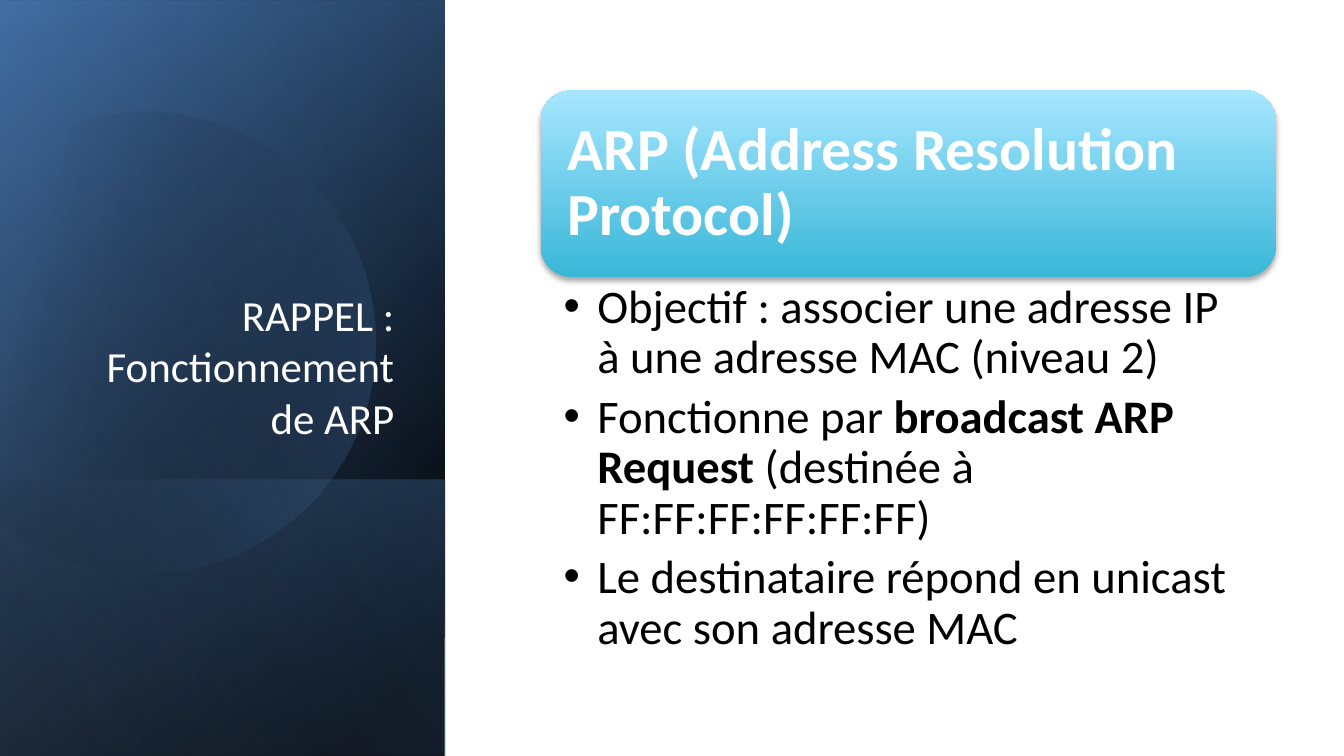
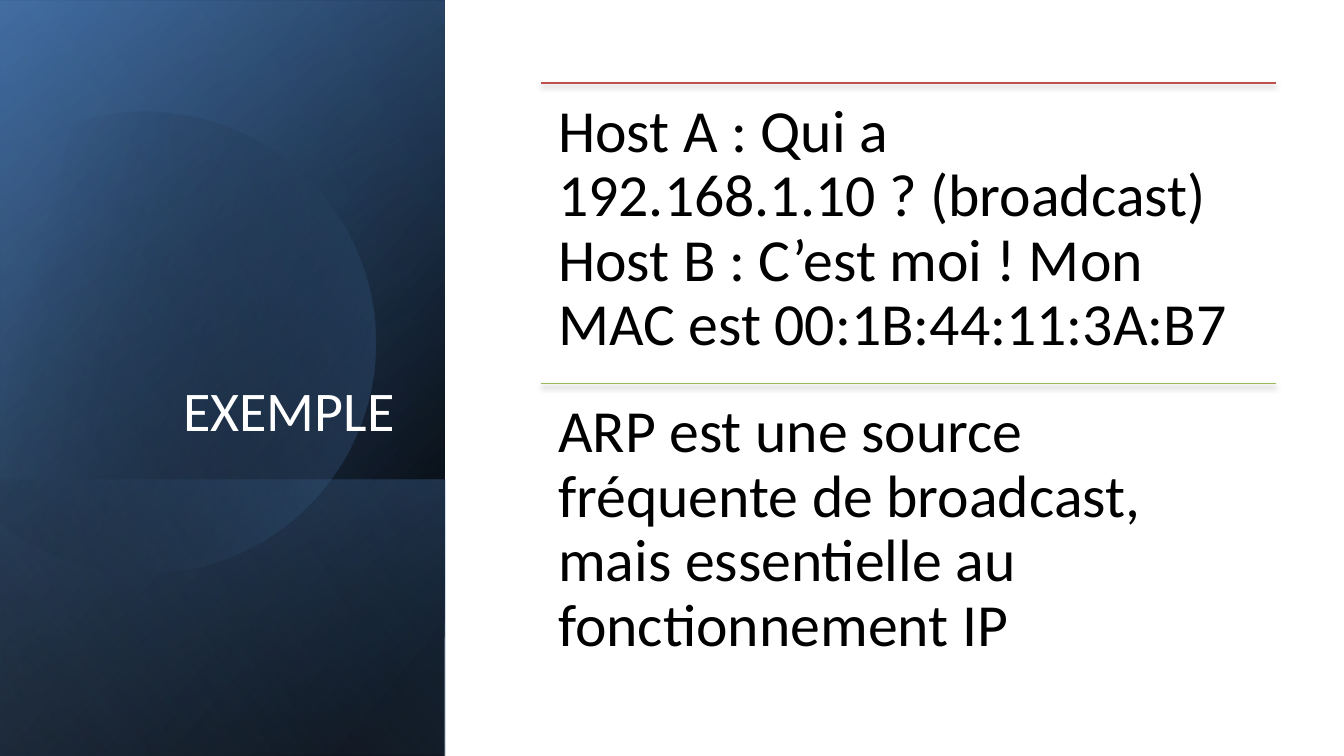
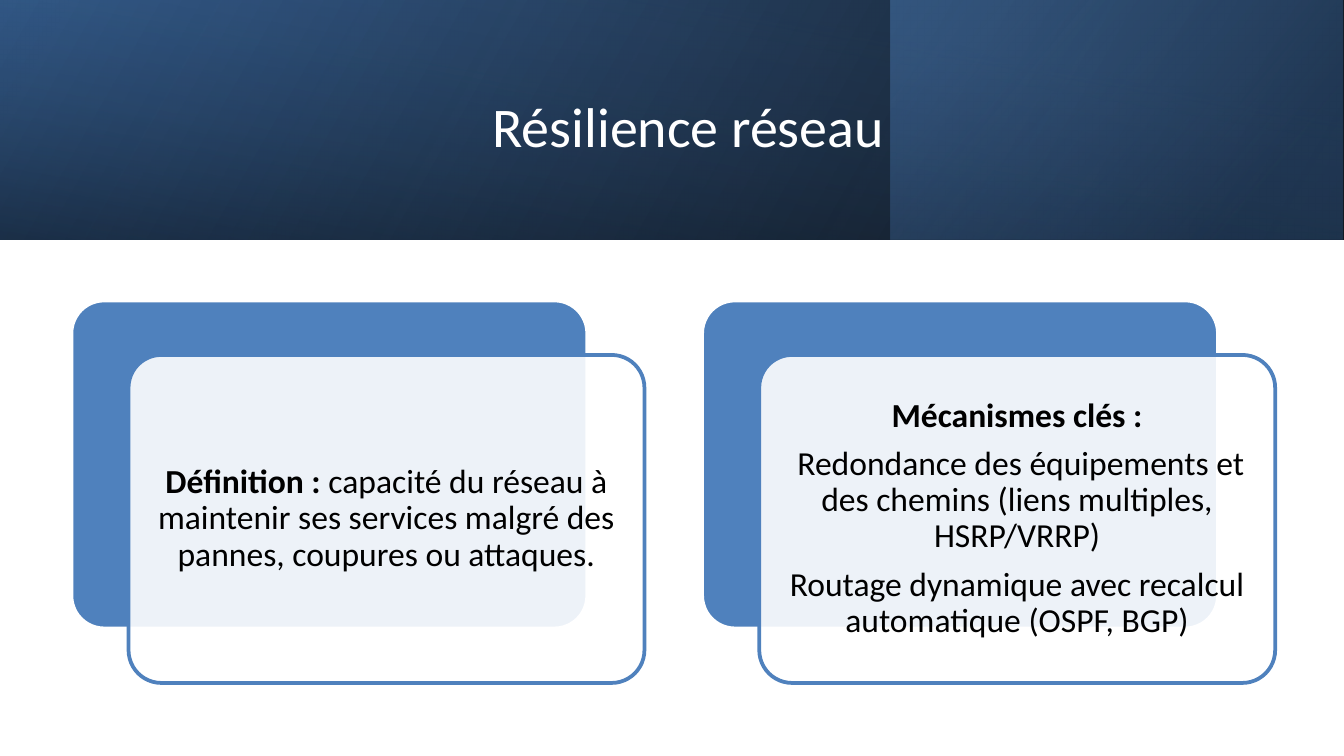
import math

import lxml.etree
import pptx
import pptx.dml.color
import pptx.enum.shapes
import pptx.enum.text
import pptx.oxml.ns
import pptx.util

Cm = pptx.util.Cm
Pt = pptx.util.Pt
qn = pptx.oxml.ns.qn
ALIGN = pptx.enum.text.PP_ALIGN
ANCHOR = pptx.enum.text.MSO_ANCHOR
SHAPE = pptx.enum.shapes.MSO_SHAPE

hex_colors = {
    "black": "000000",
    "white": "FFFFFF",
    "blue": "4F81BD",
    "deep_blue": "376092",
    "navy": "254061",
    "pale_blue": "95B3D7",
    "cyan": "39B7D8",
    "light_cyan": "A7E6FF",
    "red": "C0504D",
    "green": "9BBB59",
}
colors = {name: pptx.dml.color.RGBColor.from_string(value) for name, value in hex_colors.items()}


def paint_gradient(shape, stops, angle):
    shape.shadow.inherit = False
    shape.line.fill.background()
    shape.fill.gradient()
    shape.fill.gradient_angle = 360 - angle
    for stop, (position, color, opacity) in zip(shape.fill.gradient_stops, stops):
        stop.position = position / 100
        stop.color.rgb = colors[color]
    for element, (position, color, opacity) in zip(shape._element.xpath(".//a:gs/a:srgbClr"), stops):
        if opacity < 100:
            lxml.etree.SubElement(element, qn("a:alpha")).set("val", str(opacity * 1000))


def write_text(shape, paragraphs, size, color, margins, anchor, paragraph_format):
    text_frame = shape.text_frame
    frame_format = {
        "word_wrap": True,
        "auto_size": pptx.enum.text.MSO_AUTO_SIZE.NONE,
        "vertical_anchor": anchor,
    }
    for side, margin in zip(("left", "top", "right", "bottom"), margins):
        frame_format["margin_" + side] = Cm(margin)
    for name, value in frame_format.items():
        setattr(text_frame, name, value)
    for index, runs in enumerate(paragraphs):
        paragraph = text_frame.add_paragraph() if index else text_frame.paragraphs[0]
        for name, value in paragraph_format.items():
            setattr(paragraph, name, value)
        for text, bold in runs:
            if text == "\n":
                paragraph.add_line_break()
                continue
            run = paragraph.add_run()
            run.text = text
            for name, value in {"name": "Calibri", "size": Pt(size), "bold": bold}.items():
                setattr(run.font, name, value)
            run.font.color.rgb = colors[color]


presentation = pptx.Presentation()
presentation.slide_width = Cm(25.4)
presentation.slide_height = Cm(14.29)

panel_box = (-2.94, 2.95, 14.29, 8.4)
side_panel = [
    (panel_box, 90, [(8, "black", 100), (100, "deep_blue", 100)], 50),
    (panel_box, 90, [(0, "black", 0), (99, "blue", 46)], 30),
    ((1.61, 7.48, 5.21, 8.4), 90, [(2, "blue", 29), (100, "black", 30)], 130),
    ("disc", 343.9, [(29, "black", 0), (100, "blue", 43)], 30),
    (panel_box, 90, [(0, "black", 0), (99, "pale_blue", 11)], 120),
]
top_band = [
    ((0, 0, 25.4, 4.52), 0, [(0, "black", 96), (100, "deep_blue", 100)], 330),
    ((16.84, 0, 8.53, 4.52), 0, [(19, "navy", 68), (100, "blue", 48)], 320),
    ((10.44, -10.44, 4.52, 25.4), 270, [(23, "deep_blue", 16), (99, "black", 45)], 350),
]
side_title = ((1.21, 3.5, 6.5, 5), ANCHOR.BOTTOM, ALIGN.RIGHT)
band_title = ((2.89, 0.72, 20.24, 3.28), ANCHOR.MIDDLE, ALIGN.CENTER)

disc_x, disc_y, disc_radius = 2.72, 6.4, 4.36
arc_ends = [math.radians(degree) for degree in (-118, -90, 0, 90, 150)]
disc_offsets = [(math.cos(arc_ends[0]), math.sin(arc_ends[0]))]
for start, end in zip(arc_ends, arc_ends[1:]):
    reach = 4 / 3 * math.tan((end - start) / 4)
    disc_offsets += [
        (math.cos(start) - reach * math.sin(start), math.sin(start) + reach * math.cos(start)),
        (math.cos(end) + reach * math.sin(end), math.sin(end) - reach * math.cos(end)),
        (math.cos(end), math.sin(end)),
    ]
disc_points = [(Cm(disc_x + disc_radius * x), Cm(disc_y + disc_radius * y)) for x, y in disc_offsets]

slides = []
for layout, title, size, background, (title_box, anchor, alignment) in [
    (1, "RAPPEL : Fonctionnement de ARP", 23, side_panel, side_title),
    (5, "EXEMPLE", 30, side_panel, side_title),
    (5, "Résilience réseau", 30, top_band, band_title),
]:
    slide = presentation.slides.add_slide(presentation.slide_layouts[layout])
    slides.append(slide)
    for box, rotation, stops, angle in background:
        if box == "disc":
            builder = slide.shapes.build_freeform(*disc_points[0])
            builder.add_line_segments(disc_points[1:], close=True)
            shape = builder.convert_to_shape()
            segments = shape._element.xpath(".//a:lnTo")
            for first in range(0, len(disc_points) - 1, 3):
                curve = lxml.etree.Element(qn("a:cubicBezTo"))
                segments[first].addprevious(curve)
                for segment in segments[first:first + 3]:
                    curve.append(segment[0])
                    segment.getparent().remove(segment)
        else:
            shape = slide.shapes.add_shape(SHAPE.RECTANGLE, *map(Cm, box))
            shape._element.spPr.xfrm.set("flipH", "1")
        shape.rotation = rotation
        paint_gradient(shape, stops, angle)
    heading = slide.shapes.title
    slide.shapes._spTree.append(heading._element)
    heading.left, heading.top, heading.width, heading.height = map(Cm, title_box)
    write_text(heading, [[(title, False)]], size, "white", (0.25, 0.13, 0.25, 0.13), anchor,
               {"alignment": alignment})

recall_slide, example_slide, resilience_slide = slides
content_left, content_width = 10.22, 13.89
wide_margins = (0.33,) * 4
left_text = {"alignment": ALIGN.LEFT, "line_spacing": 0.9}
shadowed = []

banner = recall_slide.shapes.add_shape(
    SHAPE.ROUNDED_RECTANGLE, Cm(content_left), Cm(1.71), Cm(content_width), Cm(3.53))
paint_gradient(banner, [(0, "cyan", 100), (100, "light_cyan", 100)], 270)
write_text(banner, [[("ARP (Address Resolution Protocol)", True)]], 32, "white",
           wide_margins, ANCHOR.MIDDLE, left_text)
shadowed.append(banner)

body = recall_slide.placeholders[1]
recall_slide.shapes._spTree.append(body._element)
body.left, body.top, body.width, body.height = map(Cm, (content_left, 5.25, content_width, 7.54))
arp_points = [
    [("Objectif : associer une adresse IP à une adresse MAC (niveau 2)", False)],
    [("Fonctionne par ", False), ("broadcast ARP Request", True),
     (" (destinée à FF:FF:FF:FF:FF:FF)", False)],
    [("Le destinataire répond en unicast avec son adresse MAC", False)],
]
write_text(body, arp_points, 25, "black", (0.43, 0.1, 0.64, 0.1), ANCHOR.TOP,
           {**left_text, "space_before": Pt(0), "space_after": Pt(5)})
for paragraph in body.text_frame.paragraphs:
    properties = paragraph._p.get_or_add_pPr()
    properties.set("marL", str(Cm(0.64)))
    properties.set("indent", str(-Cm(0.64)))
    lxml.etree.SubElement(properties, qn("a:buChar")).set("char", "•")

exchange = [
    ("Host A : Qui a 192.168.1.10 ? (broadcast)", False),
    ("\n", False),
    ("Host B : C’est moi ! Mon MAC est 00:1B:44:11:3A:B7", False),
]
remark = [("ARP est une source fréquente de broadcast, mais essentielle au fonctionnement IP", False)]
for index, (color, runs) in enumerate([("red", exchange), ("green", remark)]):
    top = Cm(1.57 + 5.68 * index)
    rule = example_slide.shapes.add_connector(
        pptx.enum.shapes.MSO_CONNECTOR.STRAIGHT,
        Cm(content_left), top, Cm(content_left + content_width), top)
    rule.line.color.rgb = colors[color]
    rule.line.width = Pt(0.75)
    lxml.etree.SubElement(rule._element.spPr, qn("a:effectLst"))
    shadowed.append(rule)
    text_box = example_slide.shapes.add_textbox(Cm(content_left), top, Cm(content_width), Cm(5.69))
    write_text(text_box, [runs], 32, "black", wide_margins, ANCHOR.TOP, left_text)

definition = [
    [("Définition :", True),
     (" capacité du réseau à maintenir ses services malgré des pannes, coupures ou attaques.", False)],
]
mechanisms = [
    [("Mécanismes clés :", True)],
    [(" Redondance des équipements et des chemins (liens multiples, HSRP/VRRP)", False)],
    [("Routage dynamique avec recalcul automatique (OSPF, BGP)", False)],
]
for index, paragraphs in enumerate([definition, mechanisms]):
    left = 1.35 + 11.92 * index
    for offset_x, offset_y, fill, outline in [(0, 0, "blue", "white"), (1.08, 1.03, "white", "blue")]:
        card = resilience_slide.shapes.add_shape(
            SHAPE.ROUNDED_RECTANGLE, Cm(left + offset_x), Cm(5.68 + offset_y), Cm(9.75), Cm(6.2))
        card.adjustments[0] = 0.1
        card.shadow.inherit = False
        card.fill.solid()
        card.fill.fore_color.rgb = colors[fill]
        card.line.color.rgb = colors[outline]
        card.line.width = Pt(2)
    card_color = card._element.xpath("./p:spPr/a:solidFill/a:srgbClr")[0]
    lxml.etree.SubElement(card_color, qn("a:alpha")).set("val", "90000")
    write_text(card, paragraphs, 18, "black", (0.18,) * 4, ANCHOR.MIDDLE,
               {"alignment": ALIGN.CENTER, "line_spacing": 0.9, "space_after": Pt(6.3)})

for shape in shadowed:
    effects = shape._element.spPr.find(qn("a:effectLst"))
    shadow = lxml.etree.SubElement(effects, qn("a:outerShdw"))
    for name, value in {"blurRad": Pt(3.1), "dist": Pt(1.8), "dir": 5400000, "rotWithShape": 0}.items():
        shadow.set(name, str(int(value)))
    shadow_color = lxml.etree.SubElement(shadow, qn("a:srgbClr"))
    shadow_color.set("val", hex_colors["black"])
    lxml.etree.SubElement(shadow_color, qn("a:alpha")).set("val", "35000")

presentation.save("out.pptx")
